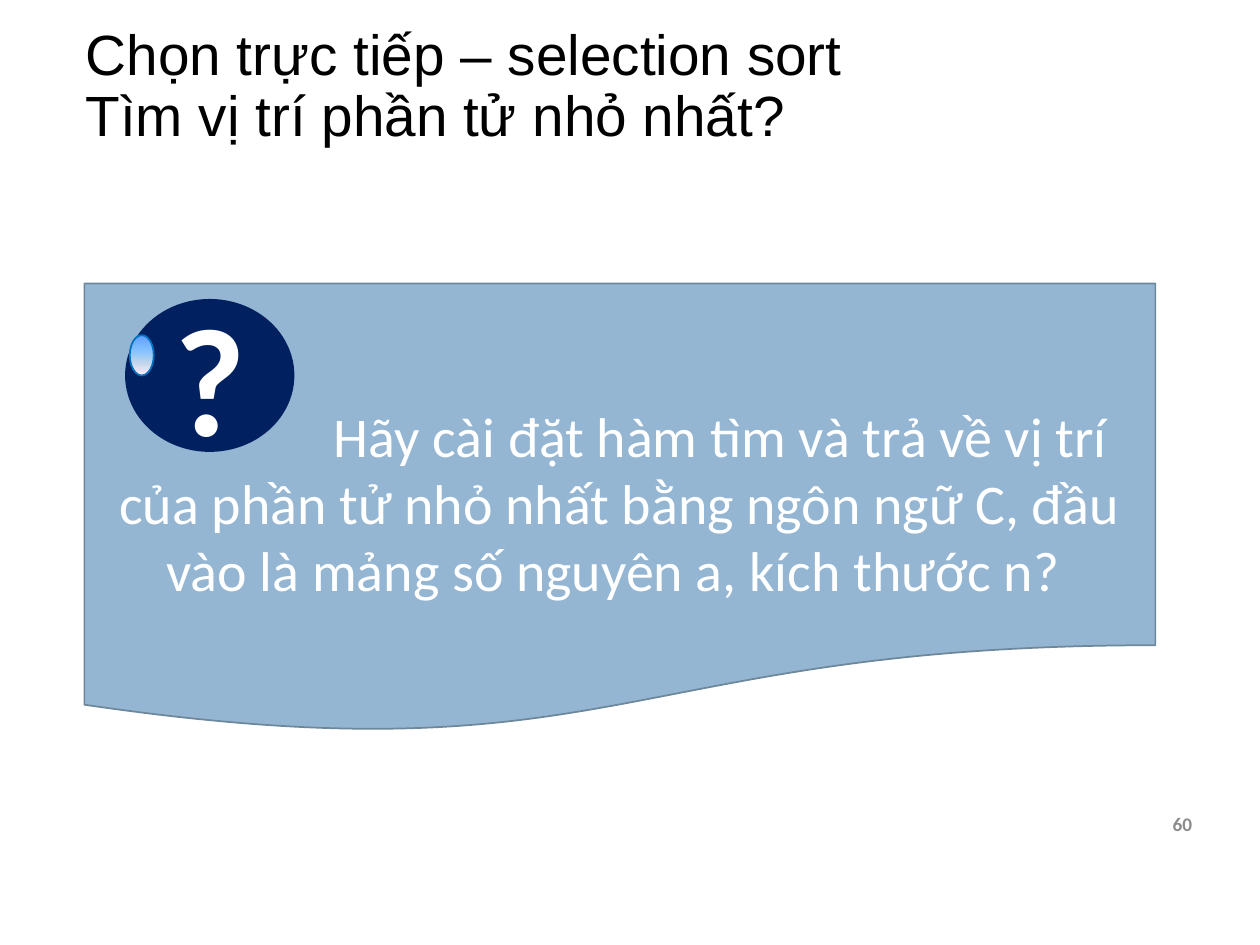
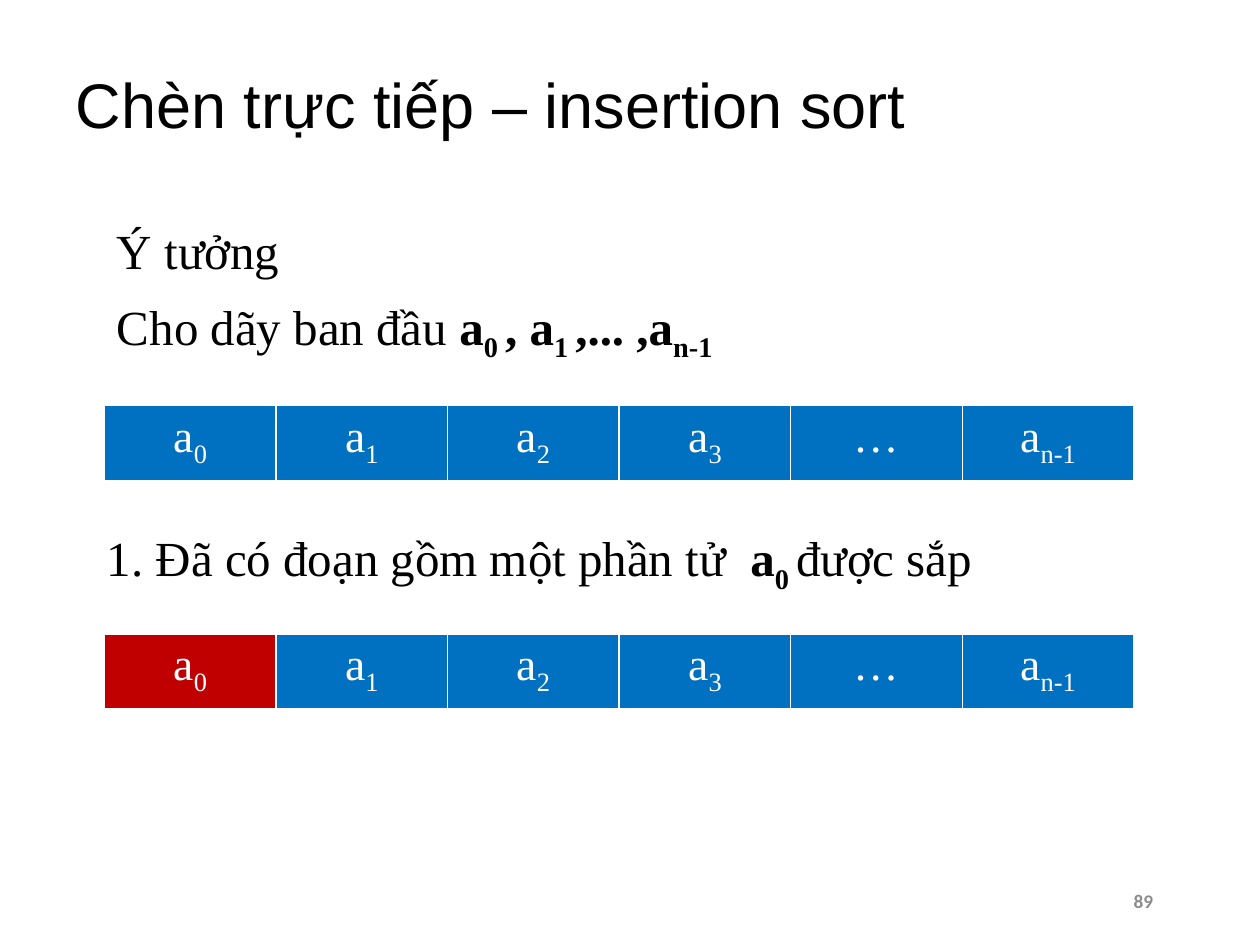
from copy import deepcopy
from dataclasses import dataclass

from pptx import Presentation
from pptx import util as u
from pptx.dml.color import RGBColor
from pptx.enum import shapes, text
from pptx.oxml.ns import qn

Inches = u.Inches
ALIGN = text.PP_ALIGN
MIDDLE = text.MSO_ANCHOR.MIDDLE


@dataclass(frozen=True)
class Theme:
    black: str = "000000"
    white: str = "FFFFFF"
    grey: str = "8C8C8C"
    panel: str = "94B6D2"
    panel_edge: str = "6D879B"
    navy: str = "002060"
    blue: str = "0070C0"
    red: str = "C00000"
    shine: tuple = ((0, "5E9EFF"), (0.4, "85C2FF"), (0.7, "C4D6EB"), (1, "FFEBFA"))
    title_font: str = "Arial"
    label_font: str = "Calibri"
    body_font: str = "Times New Roman"
    title_size: float = 36
    long_title_size: float = 32.4
    panel_size: float = 32
    badge_size: float = 88
    body_size: float = 28
    cell_size: float = 26
    number_size: float = 11


class SlideBuilder:
    def __init__(self, deck, theme):
        self.deck = deck
        self.theme = theme
        self.page = None

    def add_runs(self, para, runs, font, size, color, align=ALIGN.LEFT):
        """Add runs given as (text, marks); marks may hold "b" bold and "s" subscript."""
        para.alignment = align
        for words, marks in runs:
            span = para.add_run()
            span.text = words
            span.font.name = font
            span.font.size = u.Pt(size)
            span.font.bold = "b" in marks
            span.font.color.rgb = RGBColor.from_string(color)
            if "s" in marks:
                span.font._element.set("baseline", "-25000")

    def new_page(self, lines, at, size):
        """Start a title-only slide with its title set over one or more lines."""
        self.page = self.deck.slides.add_slide(self.deck.slide_layouts[5])
        title = self.page.shapes.title
        title.left, title.top, title.width, title.height = map(Inches, at)
        frame = title.text_frame
        frame.auto_size = text.MSO_AUTO_SIZE.NONE
        frame.vertical_anchor = MIDDLE
        para = frame.paragraphs[0]
        para.line_spacing = 0.9
        for index, line in enumerate(lines):
            if index:
                para.add_line_break()
            self.add_runs(para, [(line, "")], self.theme.title_font, size, self.theme.black)

    def page_number(self, number, at):
        box = self.page.shapes.add_textbox(*map(Inches, at))
        box.text_frame.word_wrap = True
        box.text_frame.vertical_anchor = MIDDLE
        self.add_runs(box.text_frame.paragraphs[0], [(number, "b")], self.theme.label_font,
                      self.theme.number_size, self.theme.grey, ALIGN.RIGHT)

    def body(self, paragraphs, at, line_spacing=1.0):
        box = self.page.shapes.add_textbox(*map(Inches, at))
        frame = box.text_frame
        frame.word_wrap = True
        for index, runs in enumerate(paragraphs):
            para = frame.add_paragraph() if index else frame.paragraphs[0]
            para.line_spacing = line_spacing
            if index:
                para.space_before = u.Pt(10)
            self.add_runs(para, runs, self.theme.body_font, self.theme.body_size,
                          self.theme.black, ALIGN.JUSTIFY)

    def shape(self, kind, at, edge, fill=None, parent=None):
        item = (parent or self.page).shapes.add_shape(kind, *map(Inches, at))
        item.shadow.inherit = False
        item.line.color.rgb = RGBColor.from_string(edge)
        item.line.width = u.Pt(1)
        if fill:
            item.fill.solid()
            item.fill.fore_color.rgb = RGBColor.from_string(fill)
        return item

    def label(self, item, runs, size):
        frame = item.text_frame
        frame.word_wrap = True
        frame.vertical_anchor = MIDDLE
        self.add_runs(frame.paragraphs[0], runs, self.theme.label_font, size,
                      self.theme.white, ALIGN.CENTER)

    def question_panel(self, question, at):
        panel = self.shape(shapes.MSO_SHAPE.FLOWCHART_DOCUMENT, at,
                           self.theme.panel_edge, self.theme.panel)
        self.label(panel, [(question, "")], self.theme.panel_size)
        panel.text_frame.margin_top = Inches(0.65)
        # The first line starts to the right of the badge
        properties = panel.text_frame.paragraphs[0]._p.get_or_add_pPr()
        properties.set("indent", str(Inches(1.6)))

    def question_badge(self, disc_at, shine_at):
        badge = self.page.shapes.add_group_shape()
        oval = shapes.MSO_SHAPE.OVAL
        disc = self.shape(oval, disc_at, self.theme.navy, self.theme.navy, badge)
        self.label(disc, [("?", "b")], self.theme.badge_size)
        shine = self.shape(oval, shine_at, self.theme.blue, parent=badge)
        self.gradient(shine, self.theme.shine)

    def gradient(self, item, stops):
        """Fill from top to bottom with (position, colour) stops."""
        item.fill.gradient()
        item.fill.gradient_angle = 270
        stop_list = item._element.spPr.find(qn("a:gradFill")).find(qn("a:gsLst"))
        while len(stop_list) < len(stops):
            stop_list.append(deepcopy(stop_list[0]))
        for stop, (position, color) in zip(item.fill.gradient_stops, stops):
            stop.position = position
            stop.color.rgb = RGBColor.from_string(color)

    def array_row(self, elements, at, sorted_count=0):
        """Draw an array as a one-row table, its sorted front in red."""
        table = self.page.shapes.add_table(1, len(elements), *map(Inches, at)).table
        for index, runs in enumerate(elements):
            cell = table.cell(0, index)
            color = self.theme.red if index < sorted_count else self.theme.blue
            cell.fill.solid()
            cell.fill.fore_color.rgb = RGBColor.from_string(color)
            self.add_runs(cell.text_frame.paragraphs[0], runs, self.theme.body_font,
                          self.theme.cell_size, self.theme.white, ALIGN.CENTER)


def selection_sort_page(builder):
    builder.new_page(["Chọn trực tiếp – selection sort", "Tìm vị trí phần tử nhỏ nhất?"],
                     (0.58, 0.22, 8.83, 0.95), builder.theme.long_title_size)
    builder.page_number("60", (8.89, 6.25, 0.67, 0.57))
    builder.question_panel(
        "Hãy cài đặt hàm tìm và trả về vị trí của phần tử nhỏ nhất "
        "bằng ngôn ngữ C, đầu vào là mảng số nguyên a, kích thước n? ",
        (0.67, 2.25, 8.5, 3.58))
    builder.question_badge((1, 2.38, 1.33, 1.2), (1.03, 2.66, 0.19, 0.32))


def insertion_sort_page(builder):
    builder.new_page(["Chèn trực tiếp – insertion sort"], (0.5, 0.3, 8.92, 1.12),
                     builder.theme.title_size)
    builder.body([
        [("Ý tưởng", "")],
        [("Cho dãy ban đầu ", ""), ("a", "b"), ("0 ", "bs"), (", a", "b"),
         ("1 ", "bs"), (",... ,a", "b"), ("n-1", "bs")],
    ], (0.83, 1.75, 8.58, 1.5), line_spacing=0.9)
    builder.page_number("89", (7, 6.95, 2.25, 0.4))

    elements = [[("a", ""), (index, "s")] for index in ("0", "1", "2", "3", "n-1")]
    elements.insert(4, [("…", "")])
    builder.array_row(elements, (0.83, 3.22, 8.17, 0.53))
    builder.body([[("1. Đã có đoạn gồm một phần tử  ", ""), ("a", "b"), ("0 ", "bs"),
                   ("được sắp ", "")]], (0.75, 4.14, 8.33, 0.57))
    builder.array_row(elements, (0.83, 5.03, 8.17, 0.57), sorted_count=1)


def main():
    deck = Presentation()
    deck.slide_width, deck.slide_height = Inches(10), Inches(7.5)
    builder = SlideBuilder(deck, Theme())
    selection_sort_page(builder)
    insertion_sort_page(builder)
    deck.save("out.pptx")


if __name__ == "__main__":
    main()
